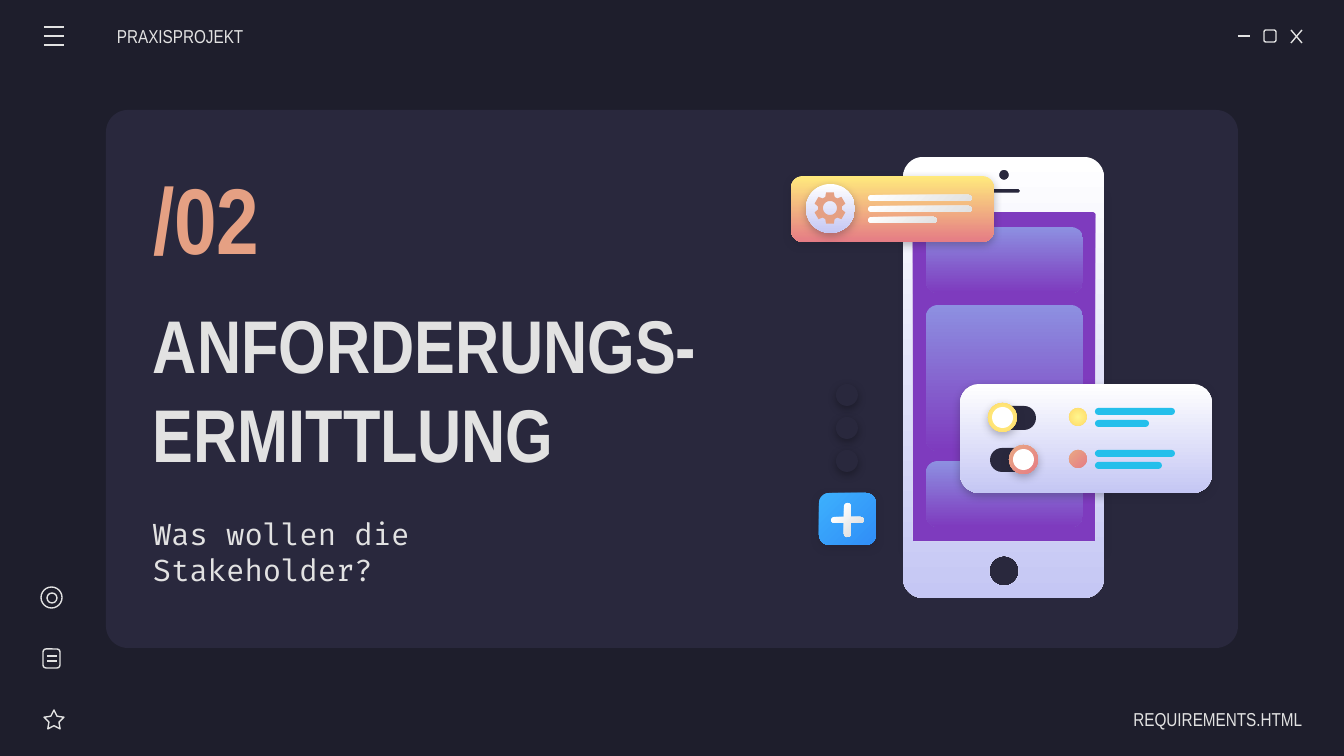
"""Build the chapter slide on requirements elicitation with its phone illustration."""
from math import cos, radians, sin

from lxml.etree import SubElement
from pptx import Presentation
from pptx.dml.color import RGBColor
from pptx.enum.shapes import MSO_CONNECTOR, MSO_SHAPE
from pptx.enum.text import MSO_ANCHOR, PP_ALIGN
from pptx.oxml.ns import qn
from pptx.util import Pt

PX = 914400 / 134.4
COLORS = {
    "night": "1E1E2C", "panel": "29283D", "light": "E2E2E2", "white": "FFFFFF",
    "peach": "E5A083", "purple": "7E3BBE", "lilac": "8D90E1", "lavender": "C5C7F4",
    "yellow": "FFEA7D", "rose": "E57C85", "lemon": "FFF68E", "gold": "FFD966",
    "apricot": "E9A984", "cyan": "24BFEB", "sky": "3DB0FD", "blue": "308EF7",
    "black": "000000",
}
GRADIENTS = {
    "card": ("lilac", "purple", 90), "glass": ("white", "lavender", 90),
    "sunset": ("yellow", "rose", 90), "pearl": ("white", "light", 45),
    "sun": ("lemon", "gold", None), "coral": ("apricot", "rose", 45),
    "button": ("sky", "blue", 45),
}
RGB = {name: RGBColor.from_string(value) for name, value in COLORS.items()}


def paint(shape, fill, shadow):
    shape.shadow.inherit = False
    if fill == "outline":
        shape.fill.background()
        shape.line.color.rgb = RGB["light"]
        shape.line.width = Pt(0.75)
        return
    shape.line.fill.background()
    if fill in GRADIENTS:
        start, end, angle = GRADIENTS[fill]
        shape.fill.gradient()
        for stop, name in zip(shape.fill.gradient_stops, (start, end)):
            stop.color.rgb = RGB[name]
        if angle is None:
            gradient = shape._element.spPr.find(qn("a:gradFill"))
            gradient.remove(gradient.find(qn("a:lin")))
            circle = SubElement(gradient, qn("a:path"), {"path": "circle"})
            SubElement(circle, qn("a:fillToRect"), {side: "50000" for side in "ltrb"})
        else:
            shape.fill.gradient_angle = 360 - angle
    else:
        shape.fill.solid()
        shape.fill.fore_color.rgb = RGB[fill]
    if shadow:
        effects = shape._element.spPr.find(qn("a:effectLst"))
        cast = SubElement(effects, qn("a:outerShdw"), {
            "blurRad": str(Pt(4.5)), "dist": str(Pt(1.5)), "dir": "5400000",
            "algn": "bl", "rotWithShape": "0"})
        tint = SubElement(cast, qn("a:srgbClr"), {"val": COLORS[shadow]})
        SubElement(tint, qn("a:alpha"), {"val": "30000"})


def rounded_contour(left, top, width, height, radius):
    corners = [(left + width - radius, top + height - radius), (left + radius, top + height - radius),
               (left + radius, top + radius), (left + width - radius, top + radius)]
    return [(x + radius * cos(radians(90 * turn + step)), y + radius * sin(radians(90 * turn + step)))
            for turn, (x, y) in enumerate(corners) for step in range(0, 91, 6)]


deck = Presentation()
deck.slide_width = round(1344 * PX)
deck.slide_height = round(756 * PX)
page = deck.slides.add_slide(deck.slide_layouts[6])
page.background.fill.solid()
page.background.fill.fore_color.rgb = RGB["night"]

phone = [rounded_contour(*contour) for contour in (
    (903, 157, 201, 441, 20), (999, 170, 10, 10, 5), (987, 189, 33, 4, 2),
    (912, 212, 184, 330, 3), (989, 556, 30, 30, 15))]
teeth = [(830 + radius * cos(radians(60 * tooth + offset - 90)),
          208 + radius * sin(radians(60 * tooth + offset - 90)))
         for tooth in range(6)
         for offset, radius in ((-23, 12), (-14, 16), (14, 16), (23, 12))]
gear = [teeth, rounded_contour(823, 201, 14, 14, 7)]

ROUND, OVAL, STAR = MSO_SHAPE.ROUNDED_RECTANGLE, MSO_SHAPE.OVAL, MSO_SHAPE.STAR_5_POINT
parts = [
    (ROUND, (106, 110, 1132, 538), 22, "panel", None),
    (ROUND, (1264, 30, 12, 12), 2, "outline", None),
    (STAR, (44, 710, 20, 19), 0, "outline", None),
    (ROUND, (43, 649, 17, 19), 3, "outline", None),
    (OVAL, (41, 587, 21, 21), 0, "outline", None),
    (OVAL, (47, 593, 10, 10), 0, "outline", None),
    (ROUND, (907, 195, 196, 353), 0, "purple", "night"),
    (ROUND, (926, 227, 157, 66), 12, "card", None),
    (ROUND, (926, 305, 157, 146), 12, "card", None),
    (ROUND, (926, 461, 157, 66), 12, "card", None),
    (phone, None, 0, "glass", None),
    (ROUND, (791, 176, 203, 66), 12, "sunset", "night"),
    (OVAL, (806, 184, 49, 49), 0, "glass", "night"),
    (gear, None, 0, "peach", None),
    (ROUND, (960, 384, 252, 109), 19, "glass", "night"),
    (ROUND, (819, 493, 57, 52), 10, "button", "night"),
    (ROUND, (831, 517, 33, 6), 3, "pearl", None),
    (ROUND, (844, 503, 7, 34), 3, "pearl", None),
]
for row, width in enumerate((104, 104, 69)):
    parts.append((ROUND, (868, 195 + 11 * row, width, 6), 3, "pearl", None))
for top, knob, fill, widths in ((403, 988, "sun", (80, 54)), (445, 1009, "coral", (80, 67))):
    parts += [
        (ROUND, (990, top + 3, 46, 24), 12, "panel", None),
        (OVAL, (knob, top, 29, 29), 0, fill, "night"),
        (OVAL, (knob + 4, top + 4, 21, 21), 0, "white", None),
        (OVAL, (1069, top + 5, 18, 18), 0, fill, None),
    ]
    for row, width in enumerate(widths):
        parts.append((ROUND, (1095, top + 5 + 12 * row, width, 7), 4, "cyan", None))
for row in range(3):
    parts.append((OVAL, (836, 384 + 33 * row, 22, 22), 0, "panel", "black"))

for outline, frame, radius, fill, shadow in parts:
    if frame is None:
        contours = [[(round(x * PX), round(y * PX)) for x, y in contour] for contour in outline]
        builder = page.shapes.build_freeform(*contours[0][0])
        builder.add_line_segments(contours[0][1:])
        for contour in contours[1:]:
            builder.move_to(*contour[0])
            builder.add_line_segments(contour[1:])
        shape = builder.convert_to_shape()
    else:
        shape = page.shapes.add_shape(outline, *(round(length * PX) for length in frame))
        if outline == ROUND:
            shape.adjustments[0] = min(0.5, radius / min(frame[2:]))
        elif outline == STAR:
            shape.adjustments[0] = 0.25
    paint(shape, fill, shadow)

icon_lines = [(44, y, 64, y) for y in (27, 36, 45)] + [(47, y, 57, y) for y in (656, 661)]
icon_lines += [(1238, 36, 1250, 36), (1291, 30, 1302, 43), (1302, 30, 1291, 43)]
for ends in icon_lines:
    line = page.shapes.add_connector(MSO_CONNECTOR.STRAIGHT, *(round(end * PX) for end in ends))
    line.line.color.rgb = RGB["light"]
    line.line.width = Pt(0.75)
    SubElement(line._element.spPr, qn("a:effectLst"))

LEFT, RIGHT = PP_ALIGN.LEFT, PP_ALIGN.RIGHT
texts = [
    ("PRAXISPROJEKT", (117, 16, 157, 40), (0, 13), LEFT, 10, "Arial Narrow", "light", False),
    ("REQUIREMENTS.HTML", (1095, 699, 207, 40), (13, 0), RIGHT, 10, "Arial Narrow", "light", False),
    ("ANFORDERUNGS- ERMITTLUNG", (140, 278, 590, 220), (13, 13), LEFT, 40, "Arial Narrow", "light", True),
    ("/02", (140, 155, 239, 124), (13, 13), LEFT, 50, "Arial Narrow", "peach", True),
    ("Was wollen die\nStakeholder?", (140, 499, 536, 105), (13, 13), LEFT, 16, "Fira Code", "light", False),
]
for wording, frame, insets, align, size, font, color, bold in texts:
    box = page.shapes.add_textbox(*(round(length * PX) for length in frame))
    body = box.text_frame
    body.word_wrap = True
    body.vertical_anchor = MSO_ANCHOR.MIDDLE
    body.margin_left, body.margin_right = (round(inset * PX) for inset in insets)
    body.margin_top = body.margin_bottom = round(13 * PX)
    para = body.paragraphs[0]
    para.alignment = align
    for row, words in enumerate(wording.split("\n")):
        if row:
            para.add_line_break()
        span = para.add_run()
        span.text = words
        span.font.size = Pt(size)
        span.font.name = font
        span.font.bold = bold
        span.font.color.rgb = RGB[color]

deck.save("out.pptx")
